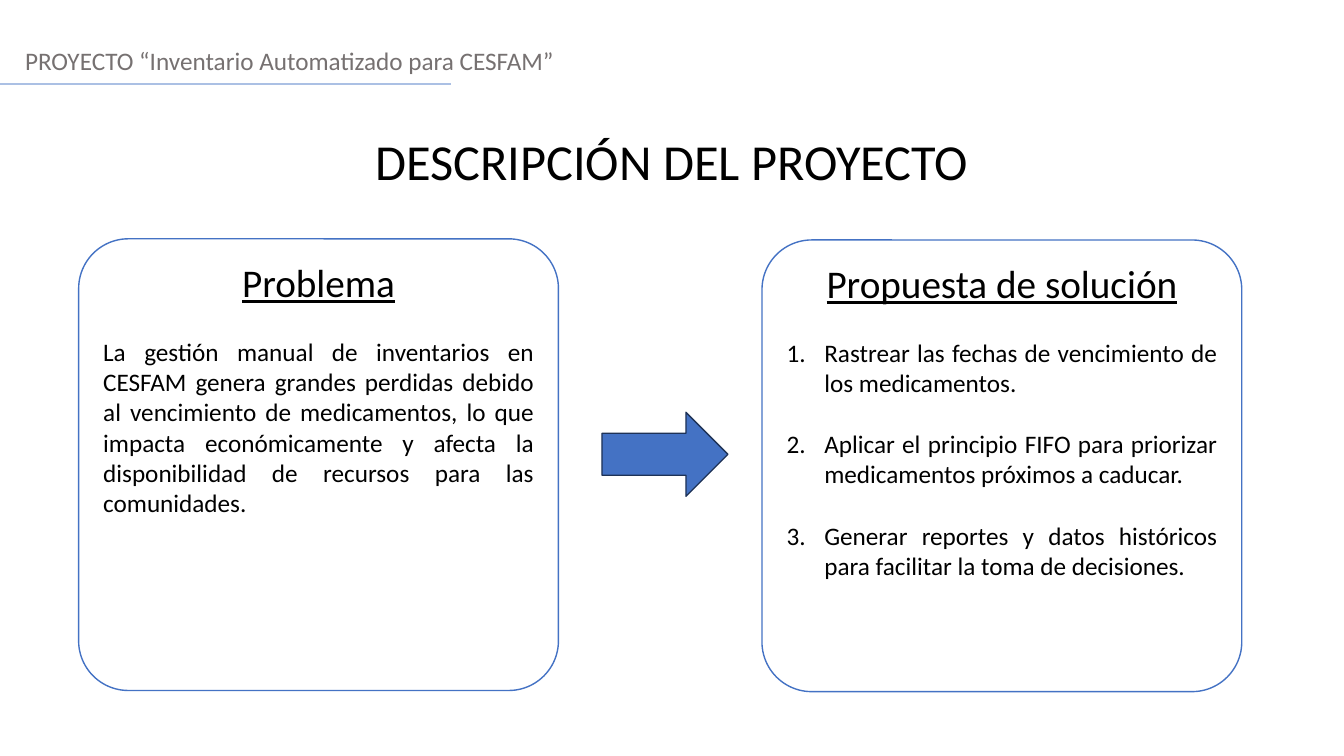
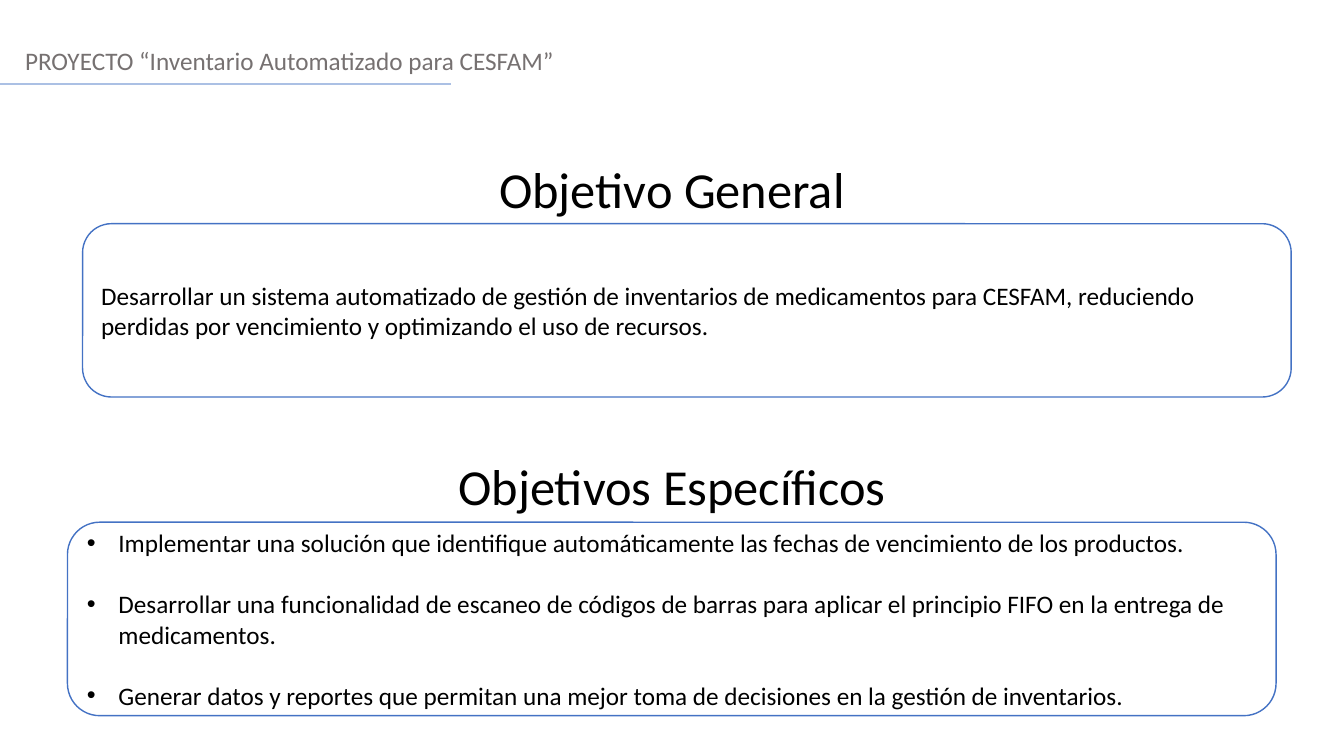
from dataclasses import dataclass
from typing import Optional

from lxml.etree import SubElement
from pptx import Presentation
from pptx.dml.color import RGBColor
from pptx.enum.shapes import MSO_CONNECTOR, MSO_SHAPE
from pptx.enum.text import MSO_ANCHOR as Anchor, MSO_AUTO_SIZE, PP_ALIGN as Align
from pptx.oxml.ns import qn
from pptx.util import Pt

BLACK = RGBColor(0x00, 0x00, 0x00)
WHITE = RGBColor(0xFF, 0xFF, 0xFF)
GRAY = RGBColor(0x76, 0x71, 0x71)
BLUE = RGBColor(0x44, 0x72, 0xC4)
NAVY = RGBColor(0x1E, 0x32, 0x56)
PALE_BLUE = RGBColor(0xAB, 0xC0, 0xE4)

FONT = "Calibri"
SLIDE_WIDTH, SLIDE_HEIGHT = 960, 540
HEADING_HEIGHT = 51
BLANK_LINE = 22
CORNER_INSET = 0.29
PROJECT = "PROYECTO “Inventario Automatizado para CESFAM”"
NUMBER = ("a:buAutoNum", {"type": "arabicPeriod"})
BULLET = ("a:buChar", {"char": "•"})
NO_MARK = ("a:buNone", {})


@dataclass(frozen=True)
class Box:
    left: float
    top: float
    width: float
    height: float

    def lengths(self) -> tuple:
        return Pt(self.left), Pt(self.top), Pt(self.width), Pt(self.height)


@dataclass(frozen=True)
class Card:
    box: Box
    items: tuple[str, ...]
    heading: Optional[str] = None
    mark: tuple = NO_MARK
    indent: float = 0
    align: Align = Align.LEFT
    anchor: Anchor = Anchor.MIDDLE
    corner: float = 0.1667


def apply_format(target, values: dict) -> None:
    for attribute, value in values.items():
        setattr(target, attribute, value)


def move(shape, box: Box) -> None:
    apply_format(shape, dict(zip(("left", "top", "width", "height"), box.lengths())))


def write(paragraph, text: str, size: float, color: RGBColor = BLACK,
          align: Align = Align.LEFT, before: float = 0, underline: bool = False) -> None:
    apply_format(paragraph, {"alignment": align, "line_spacing": 1.0,
                             "space_before": Pt(before), "space_after": Pt(0)})
    run = paragraph.add_run()
    run.text = text
    apply_format(run.font, {"name": FONT, "size": Pt(size), "underline": underline})
    run.font.color.rgb = color


def set_mark(paragraph, mark: tuple, indent: float) -> None:
    properties = paragraph._p.get_or_add_pPr()
    properties.set("marL", str(Pt(indent)))
    properties.set("indent", str(Pt(-indent)))
    tag, attributes = mark
    if mark is BULLET:
        SubElement(properties, qn("a:buFont"), typeface="Arial")
    SubElement(properties, qn(tag), attributes)


def add_shape(slide, kind: MSO_SHAPE, box: Box, fill: RGBColor, outline: RGBColor):
    shape = slide.shapes.add_shape(kind, *box.lengths())
    shape.shadow.inherit = False
    shape.fill.solid()
    shape.fill.fore_color.rgb = fill
    shape.line.color.rgb = outline
    shape.line.width = Pt(1)
    return shape


def write_heading(heading, text: str, top: float) -> None:
    move(heading, Box(0, top, SLIDE_WIDTH, HEADING_HEIGHT))
    apply_format(heading.text_frame, {"word_wrap": True, "auto_size": MSO_AUTO_SIZE.NONE,
                                      "vertical_anchor": Anchor.MIDDLE})
    write(heading.text_frame.paragraphs[0], text, 36, align=Align.CENTER)


def add_project_header(slide) -> None:
    header = slide.shapes.add_textbox(*Box(10.8, 28.8, SLIDE_WIDTH, 29).lengths())
    header.text_frame.word_wrap = True
    write(header.text_frame.paragraphs[0], PROJECT, 18, GRAY)
    rule = slide.shapes.add_connector(MSO_CONNECTOR.STRAIGHT, 0, Pt(59.8), Pt(322), Pt(59.8))
    rule.line.color.rgb = PALE_BLUE
    rule.line.width = Pt(1.25)
    SubElement(rule._element.spPr, qn("a:effectLst"))


def draw_card(slide, body, card: Card) -> None:
    frame = add_shape(slide, MSO_SHAPE.ROUNDED_RECTANGLE, card.box, WHITE, BLUE)
    frame.adjustments[0] = card.corner
    slide.shapes._spTree.insert(2, frame._element)

    move(body, card.box)
    inset = CORNER_INSET * card.corner * min(card.box.width, card.box.height)
    side = Pt(inset + 7.2)
    upper = Pt(inset + 3.6) if card.anchor == Anchor.TOP else 0
    content = body.text_frame
    apply_format(content, {"margin_left": side, "margin_right": side, "margin_top": upper,
                           "margin_bottom": 0, "word_wrap": True,
                           "auto_size": MSO_AUTO_SIZE.NONE, "vertical_anchor": card.anchor})
    paragraph = content.paragraphs[0]
    if card.heading:
        write(paragraph, card.heading, 28, align=Align.CENTER, underline=True)
        set_mark(paragraph, NO_MARK, 0)
    for index, item in enumerate(card.items):
        follows = index > 0 or card.heading is not None
        if follows:
            paragraph = content.add_paragraph()
        write(paragraph, item, 18, align=card.align, before=BLANK_LINE if follows else 0)
        set_mark(paragraph, card.mark, card.indent)


def add_project_slide(deck, title: str, title_top: float, cards: tuple[Card, ...]):
    slide = deck.slides.add_slide(deck.slide_layouts[3])
    write_heading(slide.shapes.title, title, title_top)
    add_project_header(slide)
    for position, card in enumerate(cards, start=1):
        draw_card(slide, slide.placeholders[position], card)
    return slide


PROBLEM = Card(
    Box(56.2, 170.6, 342.7, 322.6),
    ("La gestión manual de inventarios en CESFAM genera grandes perdidas debido al "
     "vencimiento de medicamentos, lo que impacta económicamente y afecta la "
     "disponibilidad de recursos para las comunidades.",),
    heading="Problema", align=Align.JUSTIFY, anchor=Anchor.TOP, corner=0.11)
SOLUTION = Card(
    Box(544.3, 171.4, 342.7, 322.6),
    ("Rastrear las fechas de vencimiento de los medicamentos.",
     "Aplicar el principio FIFO para priorizar medicamentos próximos a caducar.",
     "Generar reportes y datos históricos para facilitar la toma de decisiones."),
    heading="Propuesta de solución", mark=NUMBER, indent=27,
    align=Align.JUSTIFY, anchor=Anchor.TOP, corner=0.11)
GENERAL_GOAL = Card(
    Box(59, 159.8, 863.3, 123.8),
    ("Desarrollar un sistema automatizado de gestión de inventarios de medicamentos para "
     "CESFAM, reduciendo perdidas por vencimiento y optimizando el uso de recursos.",))
SPECIFIC_GOALS = Card(
    Box(48.2, 373, 863.3, 138.2),
    ("Implementar una solución que identifique automáticamente las fechas de vencimiento "
     "de los productos.",
     "Desarrollar una funcionalidad de escaneo de códigos de barras para aplicar el "
     "principio FIFO en la entrega de medicamentos.",
     "Generar datos y reportes que permitan una mejor toma de decisiones en la gestión "
     "de inventarios."),
    mark=BULLET, indent=22.5)


def main() -> None:
    deck = Presentation()
    deck.slide_width, deck.slide_height = Pt(SLIDE_WIDTH), Pt(SLIDE_HEIGHT)

    description = add_project_slide(deck, "DESCRIPCIÓN DEL PROYECTO", 89.3, (PROBLEM, SOLUTION))
    add_shape(description, MSO_SHAPE.RIGHT_ARROW, Box(430, 294.5, 90, 60), BLUE, NAVY)

    goals = add_project_slide(deck, "Objetivo General", 108.7, (GENERAL_GOAL, SPECIFIC_GOALS))
    specific_heading = goals.shapes.add_textbox(0, 0, 0, 0)
    write_heading(specific_heading, "Objetivos Específicos", 321.1)

    deck.save("out.pptx")


if __name__ == "__main__":
    main()
